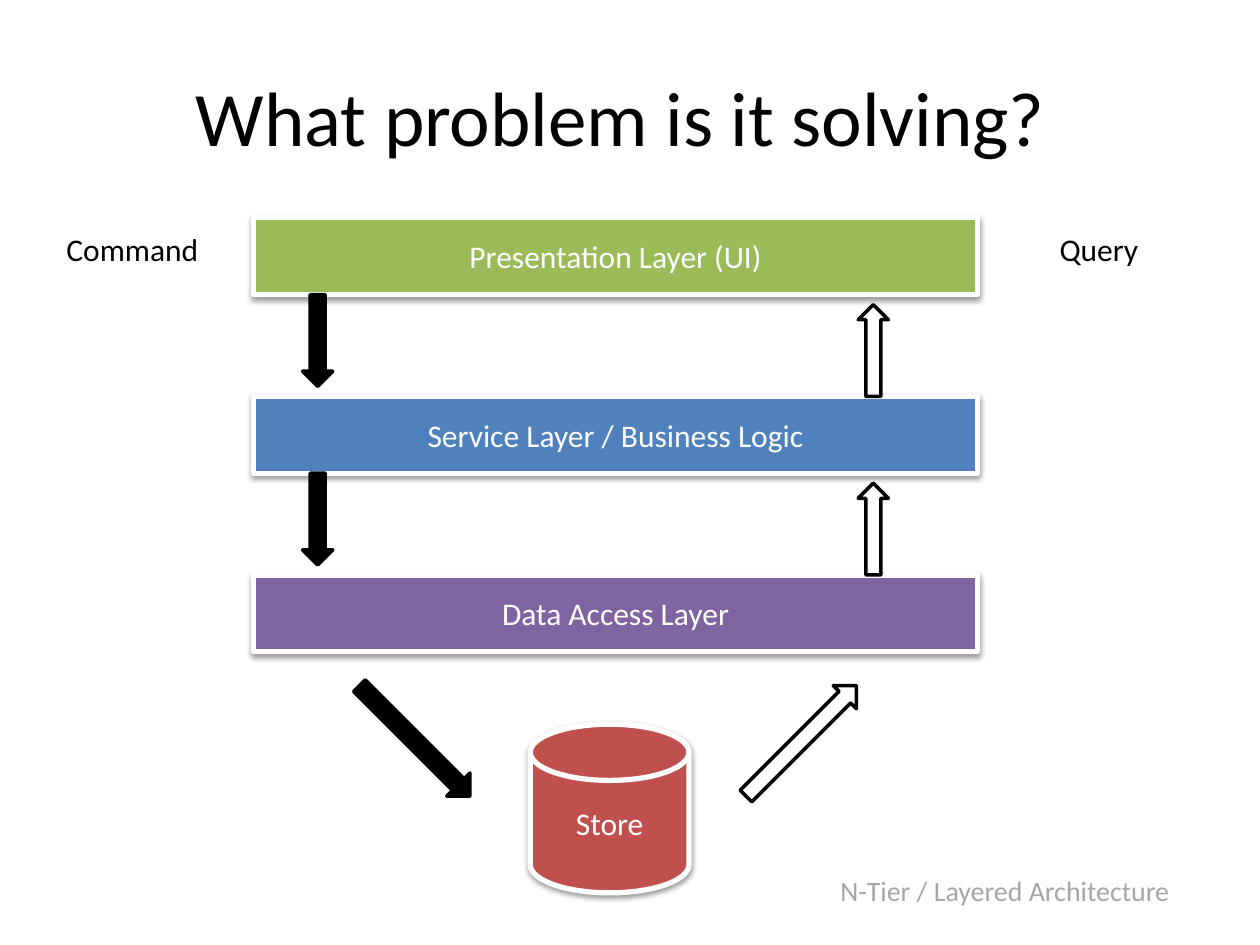
from lxml.etree import SubElement
from pptx import Presentation
from pptx.dml.color import RGBColor
from pptx.enum.shapes import MSO_SHAPE as Shape
from pptx.enum.text import MSO_ANCHOR as Anchor, MSO_AUTO_SIZE as AutoSize, PP_ALIGN as Align
from pptx.oxml.ns import qn
from pptx.util import Cm, Pt

FONT = "Calibri"
BLACK, WHITE, GREY = "000000", "FFFFFF", "A6A6A6"

TITLE = "What problem is it solving?"
LAYERS = [
    ("Presentation Layer (UI)", "9BBB59"),
    ("Service Layer / Business Logic", "4F81BD"),
    ("Data Access Layer", "8064A2"),
]
STORE = ("Store", "C0504D")
CAPTIONS = [
    ("Query", 21.11, 4.52, 2.11, 1.02, 18, BLACK),
    ("Command", 1.09, 4.52, 3.2, 1.02, 18, BLACK),
    ("N-Tier / Layered Architecture", 16.69, 17.48, 7.24, 0.94, 16, GREY),
]

LAYER_LEFT, LAYER_TOP, LAYER_WIDTH, LAYER_HEIGHT = 5.11, 4.39, 14.6, 1.55
LAYER_PITCH = 3.6
STORE_BOX = (10.69, 14.6, 3.2, 3.4)
COMMAND_LEFT, QUERY_LEFT = 6.1, 17.3
ARROW_WIDTH, ARROW_LENGTH = 0.61, 1.85
STORE_ARROW_TOP, STORE_ARROW_WIDTH, STORE_ARROW_LENGTH = 13.36, 0.66, 3.15
STORE_COMMAND_LEFT, STORE_QUERY_LEFT = 8.03, 15.82


def color(value):
    return RGBColor.from_string(value)


def write(frame, text, size, ink, align):
    frame.text = text
    paragraph = frame.paragraphs[0]
    paragraph.alignment = align
    paragraph.font.name = FONT
    paragraph.font.size = Pt(size)
    paragraph.font.color.rgb = color(ink)


def add_figure(slide, preset, box, fill, line, line_width):
    figure = slide.shapes.add_shape(preset, *map(Cm, box))
    figure.shadow.inherit = False
    figure.fill.solid()
    figure.fill.fore_color.rgb = color(fill)
    figure.line.color.rgb = color(line)
    figure.line.width = Pt(line_width)
    return figure


def add_block(slide, preset, box, text, fill):
    block = add_figure(slide, preset, box, fill, WHITE, 3)
    effects = block._element.spPr.find(qn("a:effectLst"))
    shadow = SubElement(effects, qn("a:outerShdw"), blurRad=str(Pt(3.1)),
                        dist=str(Pt(1.6)), dir="5400000", rotWithShape="0")
    tint = SubElement(shadow, qn("a:srgbClr"), val=BLACK)
    SubElement(tint, qn("a:alpha"), val="38000")
    block.text_frame.vertical_anchor = Anchor.MIDDLE
    write(block.text_frame, text, 18, WHITE, Align.CENTER)


def add_arrow(slide, box, fill, rotation):
    arrow = add_figure(slide, Shape.DOWN_ARROW, box, fill, BLACK, 2)
    arrow.rotation = rotation


def add_caption(slide, text, left, top, width, height, size, ink):
    caption = slide.shapes.add_textbox(Cm(left), Cm(top), Cm(width), Cm(height))
    caption.text_frame.word_wrap = False
    caption.text_frame.auto_size = AutoSize.SHAPE_TO_FIT_TEXT
    write(caption.text_frame, text, size, ink, Align.LEFT)


def main():
    deck = Presentation()
    deck.slide_width, deck.slide_height = Cm(25.4), Cm(19.05)
    slide = deck.slides.add_slide(deck.slide_layouts[6])

    title = slide.shapes.add_textbox(Cm(1.09), Cm(0.74), Cm(22.86), Cm(3.18))
    title.text_frame.word_wrap = True
    title.text_frame.vertical_anchor = Anchor.MIDDLE
    write(title.text_frame, TITLE, 44, BLACK, Align.CENTER)

    tops = [LAYER_TOP + i * LAYER_PITCH for i in range(len(LAYERS))]
    for (text, fill), top in zip(LAYERS, tops):
        box = (LAYER_LEFT, top, LAYER_WIDTH, LAYER_HEIGHT)
        add_block(slide, Shape.FLOWCHART_PROCESS, box, text, fill)
    add_block(slide, Shape.FLOWCHART_MAGNETIC_DISK, STORE_BOX, *STORE)

    for upper, lower in zip(tops, tops[1:]):
        size = (ARROW_WIDTH, ARROW_LENGTH)
        add_arrow(slide, (COMMAND_LEFT, upper + LAYER_HEIGHT, *size), BLACK, 0)
        add_arrow(slide, (QUERY_LEFT, lower - ARROW_LENGTH, *size), WHITE, 180)

    for left, fill, rotation in [(STORE_COMMAND_LEFT, BLACK, 315), (STORE_QUERY_LEFT, WHITE, 225)]:
        box = (left, STORE_ARROW_TOP, STORE_ARROW_WIDTH, STORE_ARROW_LENGTH)
        add_arrow(slide, box, fill, rotation)

    for caption in CAPTIONS:
        add_caption(slide, *caption)

    deck.save("out.pptx")


if __name__ == "__main__":
    main()
